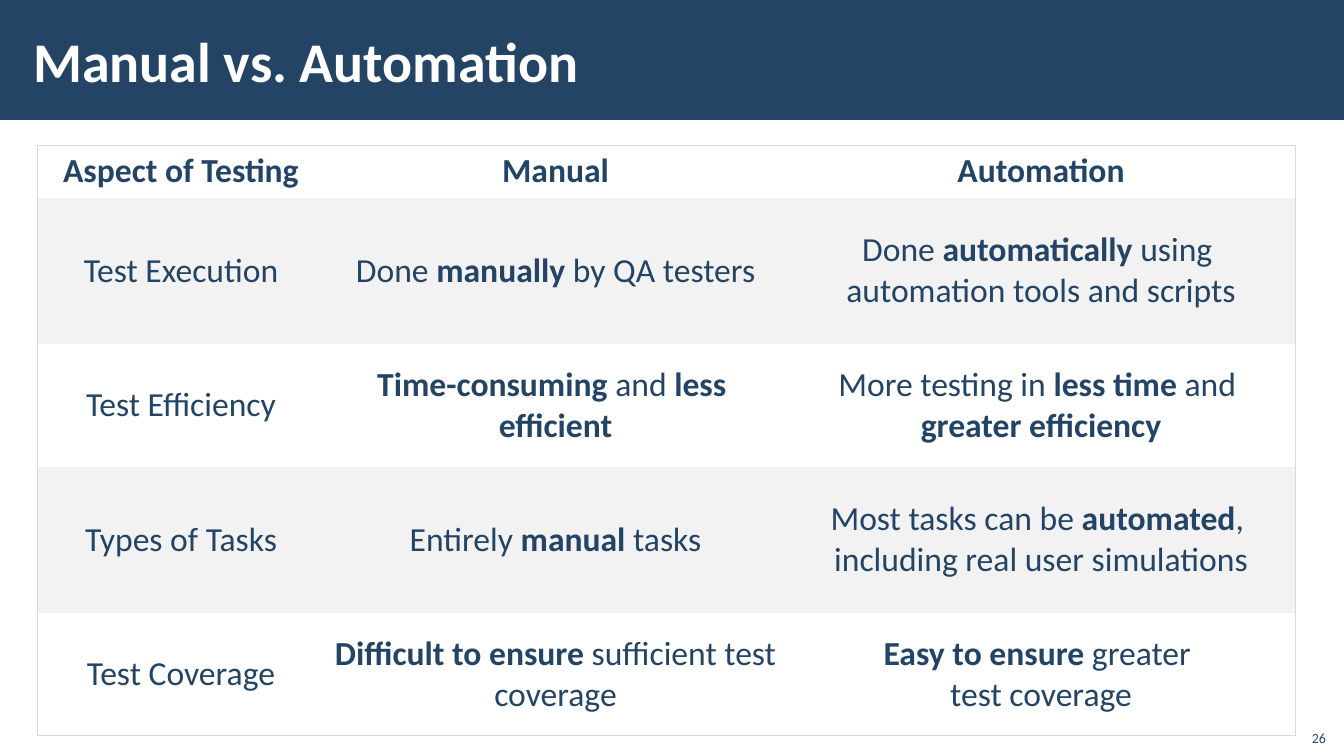
from lxml import etree
from pptx import Presentation
from pptx import util as u
from pptx.dml.color import RGBColor
from pptx.enum import shapes, text
from pptx.oxml import ns

COLORS = {"navy": "234465", "white": "FFFFFF", "band": "F2F2F2", "border": "D9D9D9"}

COLUMN_WIDTHS = [2.85, 4.58, 5.05]
ROW_HEIGHTS = [0.52, 1.45, 1.22, 1.45, 1.22]
COMPARISON = [
    ["**Aspect of Testing**", "**Manual**", "**Automation**"],
    ["Test Execution", "Done **manually** by QA testers",
     "Done **automatically** using \nautomation tools and scripts"],
    ["Test Efficiency", "**Time-consuming** and **less **\n**efficient**",
     "More testing in **less time **and \n**greater efficiency**"],
    ["Types of Tasks", "Entirely **manual** tasks",
     "Most tasks can be **automated**, \nincluding real user simulations"],
    ["Test Coverage", "**Difficult to ensure **sufficient test coverage",
     "**Easy to ensure **greater \ntest coverage"],
]


def rgb(name):
    return RGBColor.from_string(COLORS[name])


def write_text(frame, content, *, size, color="navy", align=text.PP_ALIGN.LEFT, font="Calibri"):
    for number, line in enumerate(content.split("\n")):
        para = frame.add_paragraph() if number else frame.paragraphs[0]
        para.alignment = align
        for part, words in enumerate(line.split("**")):
            if not words:
                continue
            span = para.add_run()
            span.text = words
            span.font.name = font
            span.font.size = u.Pt(size)
            span.font.bold = part % 2 == 1
            span.font.color.rgb = rgb(color)


class SlideBuilder:
    def __init__(self, page):
        self.page = page

    def bar(self, left, top, width, height, color):
        box = self.page.shapes.add_shape(
            shapes.MSO_SHAPE.RECTANGLE, *map(u.Inches, (left, top, width, height)))
        box.shadow.inherit = False
        box.fill.solid()
        box.fill.fore_color.rgb = rgb(color)
        box.line.fill.background()

    def label(self, content, left, top, width, height, *, anchor, inset=0.1, **style):
        box = self.page.shapes.add_textbox(*map(u.Inches, (left, top, width, height)))
        frame = box.text_frame
        frame.word_wrap = True
        frame.vertical_anchor = anchor
        frame.margin_left = frame.margin_right = u.Inches(inset)
        frame.margin_top = frame.margin_bottom = u.Inches(0.04)
        write_text(frame, content, **style)

    def cell_borders(self, cell, visible):
        properties = cell._tc.get_or_add_tcPr()
        for side, shown in visible.items():
            line = etree.SubElement(properties, ns.qn(f"a:ln{side}"), w=str(u.Pt(1)))
            if shown:
                fill = etree.SubElement(line, ns.qn("a:solidFill"))
                etree.SubElement(fill, ns.qn("a:srgbClr"), val=COLORS["border"])
            else:
                etree.SubElement(line, ns.qn("a:noFill"))

    def table(self, rows, left, top, widths, heights, **style):
        table = self.page.shapes.add_table(
            len(rows), len(widths), u.Inches(left), u.Inches(top),
            u.Inches(sum(widths)), u.Inches(sum(heights))).table
        for column, width in zip(table.columns, widths):
            column.width = u.Inches(width)
        for r, (row, height) in enumerate(zip(rows, heights)):
            table.rows[r].height = u.Inches(height)
            for c, content in enumerate(row):
                cell = table.cell(r, c)
                cell.vertical_anchor = text.MSO_ANCHOR.MIDDLE
                cell.margin_left = cell.margin_right = u.Inches(0.06)
                cell.margin_top = cell.margin_bottom = u.Inches(0.03)
                self.cell_borders(cell, {"L": c == 0, "R": c == len(widths) - 1,
                                         "T": r == 0, "B": r == len(rows) - 1})
                cell.fill.solid()
                cell.fill.fore_color.rgb = rgb("band" if r % 2 else "white")
                write_text(cell.text_frame, content, **style)


def main():
    deck = Presentation()
    deck.slide_width, deck.slide_height = u.Inches(13.33), u.Inches(7.5)
    slide = SlideBuilder(deck.slides.add_slide(deck.slide_layouts[6]))
    slide.bar(0, -0.01, 13.34, 1.2, "navy")
    slide.label("26", 12.85, 7.12, 0.4, 0.32, anchor=text.MSO_ANCHOR.BOTTOM,
                size=10, align=text.PP_ALIGN.RIGHT)
    slide.label("**Manual vs. Automation**", 0.21, 0.11, 10.63, 0.97,
                anchor=text.MSO_ANCHOR.MIDDLE, inset=0.12, size=40, color="white")
    slide.table(COMPARISON, 0.37, 1.44, COLUMN_WIDTHS, ROW_HEIGHTS,
                size=24, align=text.PP_ALIGN.CENTER)
    deck.save("out.pptx")


if __name__ == "__main__":
    main()
